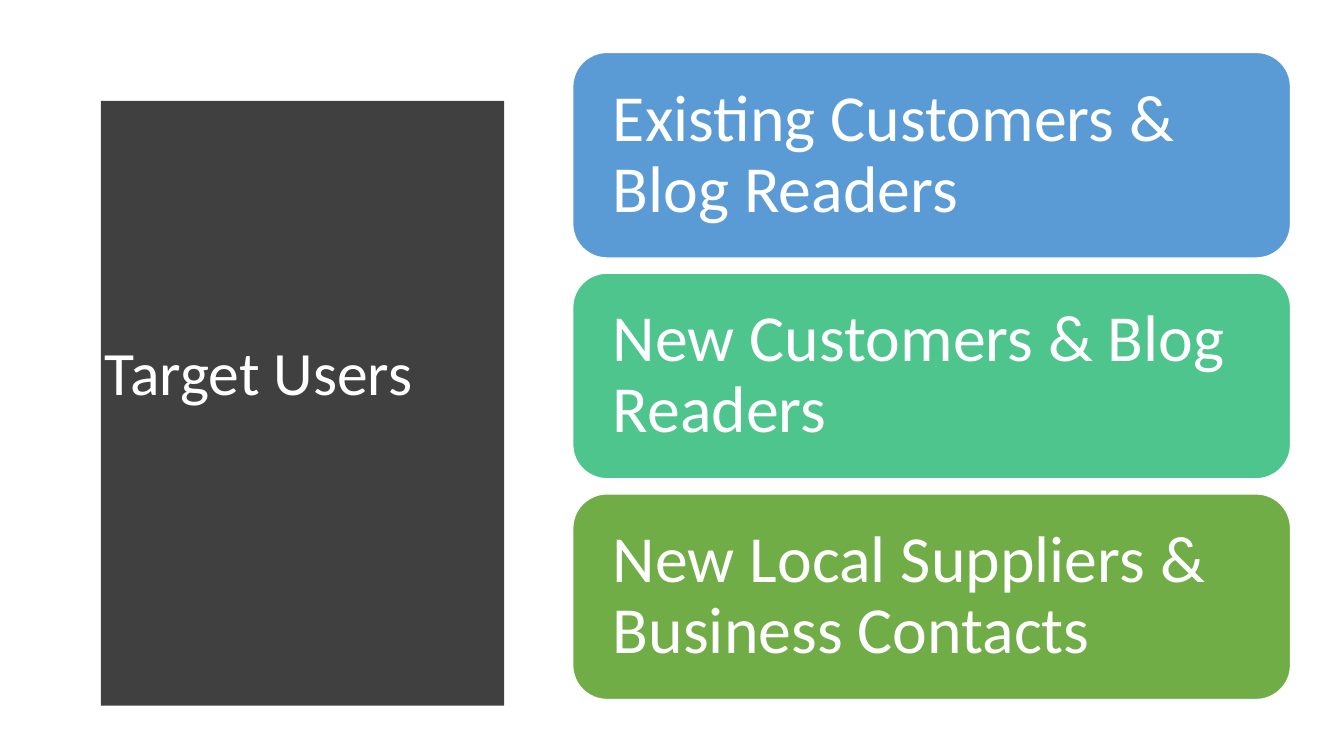
"""Build a slide listing the target users beside a curved title panel."""
import pptx
import pptx.dml.color
import pptx.enum.shapes
import pptx.enum.text
import pptx.util

TITLE = "Target Users"
FONT = "Calibri"
COLORS = {"panel": "404040", "text": "FFFFFF", "blue": "5B9BD5", "mint": "4DC58D", "green": "70AD47"}
USER_GROUPS = [
    ("Existing Customers & Blog Readers", "blue"),
    ("New Customers & Blog Readers", "mint"),
    ("New Local Suppliers & Business Contacts", "green"),
]
SLIDE_WIDTH, SLIDE_HEIGHT = 13.33, 7.5
MARGIN = 0.52
PANEL_WIDTH, PANEL_HEIGHT, PANEL_BULGE = 4.55, 6.44, 0.24
CURVE_STEPS = 40
CARD_LEFT, CARD_WIDTH, CARD_HEIGHT, CARD_PITCH = 5.68, 7.12, 2.04, 2.19
CARD_INSET = 0.3


def color(name):
    return pptx.dml.color.RGBColor.from_string(COLORS[name])


def write(shape, text, size, inset_x, inset_y):
    frame = shape.text_frame
    frame.word_wrap = True
    frame.auto_size = pptx.enum.text.MSO_AUTO_SIZE.NONE
    frame.vertical_anchor = pptx.enum.text.MSO_ANCHOR.MIDDLE
    frame.margin_left = frame.margin_right = pptx.util.Inches(inset_x)
    frame.margin_top = frame.margin_bottom = pptx.util.Inches(inset_y)
    paragraph = frame.paragraphs[0]
    paragraph.alignment = pptx.enum.text.PP_ALIGN.LEFT
    paragraph.line_spacing = 0.9
    run = paragraph.add_run()
    run.text = text
    run.font.name = FONT
    run.font.size = pptx.util.Pt(size)
    run.font.color.rgb = color("text")


def paint(shape, fill):
    shape.shadow.inherit = False
    shape.fill.solid()
    shape.fill.fore_color.rgb = color(fill)


def add_panel(slide):
    points = [(MARGIN, MARGIN)]
    for step in range(CURVE_STEPS + 1):
        share = step / CURVE_STEPS
        bulge = PANEL_BULGE * 4 * share * (1 - share)
        points.append((MARGIN + PANEL_WIDTH + bulge, MARGIN + PANEL_HEIGHT * share))
    points.append((MARGIN, MARGIN + PANEL_HEIGHT))
    builder = slide.shapes.build_freeform(*points[0], scale=pptx.util.Inches(1))
    builder.add_line_segments(points[1:], close=True)
    panel = builder.convert_to_shape()
    paint(panel, "panel")
    panel.line.fill.background()
    slide.shapes.title.element.addprevious(panel.element)


def add_card(slide, row, text, fill):
    bounds = (CARD_LEFT, MARGIN + row * CARD_PITCH, CARD_WIDTH, CARD_HEIGHT)
    card = slide.shapes.add_shape(
        pptx.enum.shapes.MSO_SHAPE.ROUNDED_RECTANGLE, *map(pptx.util.Inches, bounds))
    paint(card, fill)
    card.line.color.rgb = color("text")
    card.line.width = pptx.util.Pt(1)
    write(card, text, 47, CARD_INSET, CARD_INSET)


def main():
    presentation = pptx.Presentation()
    presentation.slide_width = pptx.util.Inches(SLIDE_WIDTH)
    presentation.slide_height = pptx.util.Inches(SLIDE_HEIGHT)
    slide = presentation.slides.add_slide(presentation.slide_layouts.get_by_name("Title Only"))
    title = slide.shapes.title
    title.left, title.top, title.width, title.height = map(pptx.util.Inches, (0.94, 1.11, 3.74, 5.24))
    write(title, TITLE, 44, 0.1, 0.05)
    add_panel(slide)
    for row, (text, fill) in enumerate(USER_GROUPS):
        add_card(slide, row, text, fill)
    presentation.save("out.pptx")


if __name__ == "__main__":
    main()
